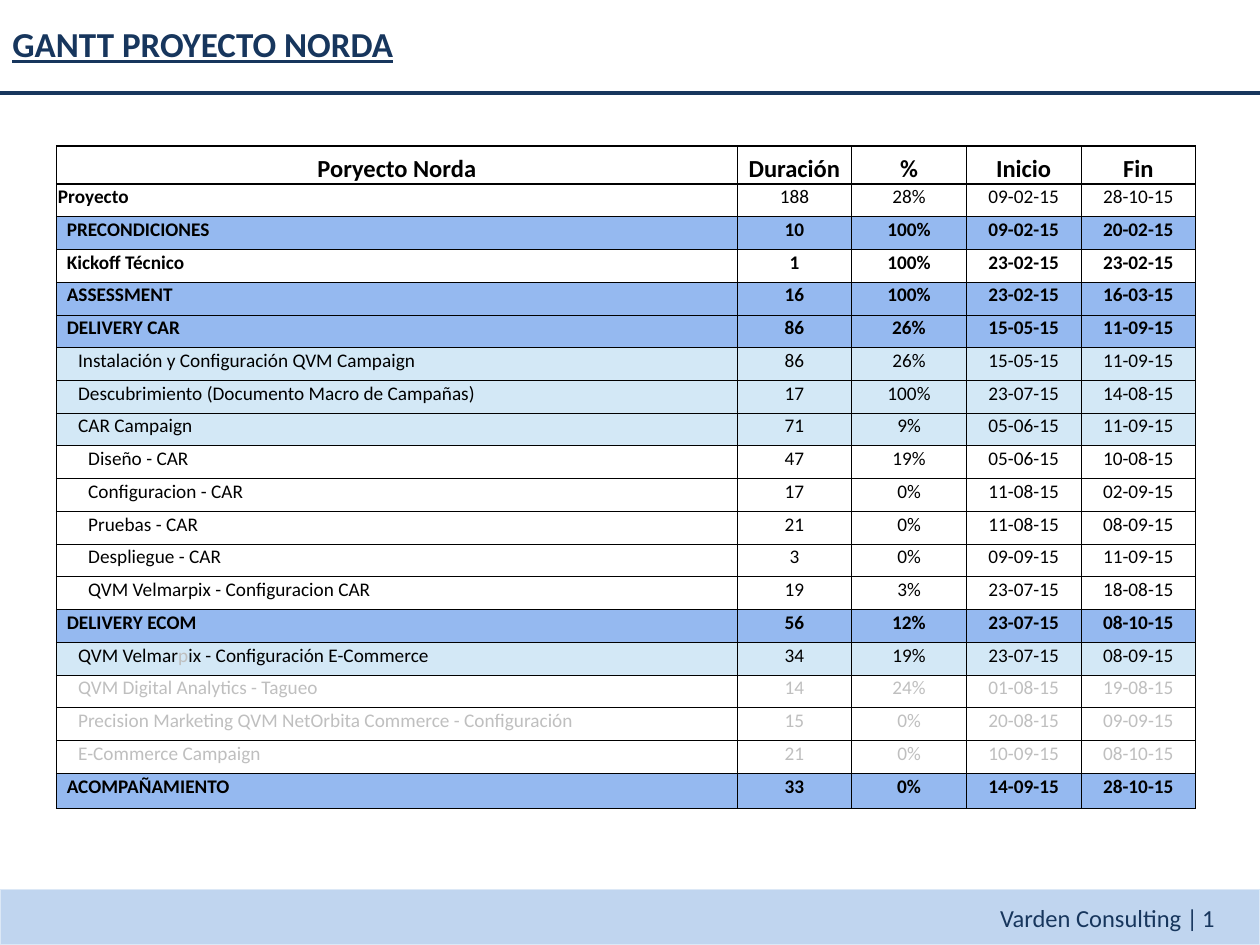
from dataclasses import dataclass

from lxml.etree import SubElement
from pptx import Presentation
from pptx.dml.color import RGBColor
from pptx.enum.shapes import MSO_CONNECTOR, MSO_SHAPE
from pptx.enum.text import MSO_ANCHOR, PP_ALIGN
from pptx.oxml.ns import qn
from pptx.util import Inches, Pt


@dataclass(frozen=True)
class Theme:
    font: str = "Calibri"
    navy: str = "17365D"
    band: str = "C0D5EF"
    band_edge: str = "DCE8F6"
    black: str = "000000"
    muted: str = "BFBFBF"
    phase: str = "95B9F0"
    group: str = "D3E8F6"
    title_size: int = 20
    heading_size: int = 14
    body_size: int = 11
    outer_line: float = 1
    inner_line: float = 0.5
    rule_line: float = 2.25


THEME = Theme()

ROW_STYLES = {
    "header": dict(size=THEME.heading_size, bold=True, centred=True, anchor=MSO_ANCHOR.BOTTOM),
    "project": dict(bold=True, values_bold=False),
    "phase": dict(fill=THEME.phase, bold=True, indent=0.08),
    "milestone": dict(bold=True, indent=0.08),
    "group": dict(fill=THEME.group, indent=0.17),
    "task": dict(indent=0.25),
    "pending": dict(color=THEME.muted, indent=0.17),
}

SCHEDULE = [
    ("header", "Poryecto Norda", "Duración", "%", "Inicio", "Fin"),
    ("project", "Proyecto", "188", "28%", "09-02-15", "28-10-15"),
    ("phase", "PRECONDICIONES", "10", "100%", "09-02-15", "20-02-15"),
    ("milestone", "Kickoff Técnico", "1", "100%", "23-02-15", "23-02-15"),
    ("phase", "ASSESSMENT", "16", "100%", "23-02-15", "16-03-15"),
    ("phase", "DELIVERY CAR", "86", "26%", "15-05-15", "11-09-15"),
    ("group", "Instalación y Configuración QVM Campaign", "86", "26%", "15-05-15", "11-09-15"),
    ("group", "Descubrimiento (Documento Macro de Campañas)", "17", "100%", "23-07-15", "14-08-15"),
    ("group", "CAR Campaign", "71", "9%", "05-06-15", "11-09-15"),
    ("task", "Diseño - CAR", "47", "19%", "05-06-15", "10-08-15"),
    ("task", "Configuracion - CAR", "17", "0%", "11-08-15", "02-09-15"),
    ("task", "Pruebas - CAR", "21", "0%", "11-08-15", "08-09-15"),
    ("task", "Despliegue - CAR", "3", "0%", "09-09-15", "11-09-15"),
    ("task", "QVM Velmarpix - Configuracion CAR", "19", "3%", "23-07-15", "18-08-15"),
    ("phase", "DELIVERY ECOM", "56", "12%", "23-07-15", "08-10-15"),
    ("group", [("QVM Velmar", THEME.black), ("p", THEME.muted),
               ("ix - Configuración E-Commerce", THEME.black)],
     "34", "19%", "23-07-15", "08-09-15"),
    ("pending", "QVM Digital Analytics - Tagueo", "14", "24%", "01-08-15", "19-08-15"),
    ("pending", "Precision Marketing QVM NetOrbita Commerce - Configuración",
     "15", "0%", "20-08-15", "09-09-15"),
    ("pending", "E-Commerce Campaign", "21", "0%", "10-09-15", "08-10-15"),
    ("phase", "ACOMPAÑAMIENTO", "33", "0%", "14-09-15", "28-10-15"),
]


def rgb(value):
    return RGBColor.from_string(value)


def assign(target, values):
    for name, value in values.items():
        setattr(target, name, value)


def margins(left, top, right, bottom):
    sides = ("margin_left", "margin_top", "margin_right", "margin_bottom")
    return dict(zip(sides, map(Inches, (left, top, right, bottom))))


class SlideBuilder:
    def __init__(self, slide, theme):
        self.slide = slide
        self.theme = theme

    def add_text(self, frame, text, color, size, paragraph_format=None, **font_format):
        paragraph = frame.paragraphs[0]
        assign(paragraph, paragraph_format or {})
        pieces = [(text, color)] if isinstance(text, str) else text
        for piece, piece_color in pieces:
            run = paragraph.add_run()
            run.text = piece
            assign(run.font, dict(name=self.theme.font, size=Pt(size), **font_format))
            run.font.color.rgb = rgb(piece_color)

    def bar(self, box, fill, edge):
        bar = self.slide.shapes.add_shape(MSO_SHAPE.RECTANGLE, *map(Inches, box))
        bar.shadow.inherit = False
        bar.fill.solid()
        bar.fill.fore_color.rgb = rgb(fill)
        bar.line.color.rgb = rgb(edge)
        bar.line.width = Pt(self.theme.outer_line)

    def rule(self, start, end):
        rule = self.slide.shapes.add_connector(
            MSO_CONNECTOR.STRAIGHT, *map(Inches, start + end))
        rule.line.color.rgb = rgb(self.theme.navy)
        rule.line.width = Pt(self.theme.rule_line)
        SubElement(rule._element.spPr, qn("a:effectLst"))

    def label(self, box, text, size, insets, paragraph_format=None, **font_format):
        frame = self.slide.shapes.add_textbox(*map(Inches, box)).text_frame
        assign(frame, dict(word_wrap=True, vertical_anchor=MSO_ANCHOR.MIDDLE, **margins(*insets)))
        self.add_text(frame, text, self.theme.navy, size, paragraph_format, **font_format)

    def borders(self, cell, **widths):
        properties = cell._tc.get_or_add_tcPr()
        for side, width in widths.items():
            line = SubElement(properties, qn(f"a:ln{side}"), w=str(Pt(width)))
            fill = SubElement(line, qn("a:solidFill"))
            SubElement(fill, qn("a:srgbClr"), val=self.theme.black)

    def cell(self, cell, text, is_name, style):
        centred = not is_name or style.get("centred", False)
        bold = style.get("bold", False)
        if not is_name:
            bold = style.get("values_bold", bold)
        left = style.get("indent", 0.01) if is_name else 0.01
        assign(cell, dict(vertical_anchor=style.get("anchor", MSO_ANCHOR.TOP),
                          **margins(left, 0.01, 0.01, 0)))
        if "fill" in style:
            cell.fill.solid()
            cell.fill.fore_color.rgb = rgb(style["fill"])
        else:
            cell.fill.background()
        self.add_text(cell.text_frame, text, style.get("color", self.theme.black),
                      style.get("size", self.theme.body_size),
                      dict(alignment=PP_ALIGN.CENTER if centred else PP_ALIGN.LEFT), bold=bold)

    def schedule(self, position, column_widths, row_heights, rows):
        box = (*position, sum(column_widths), sum(row_heights))
        table = self.slide.shapes.add_table(
            len(rows), len(column_widths), *map(Inches, box)).table
        assign(table, dict(first_row=False, horz_banding=False))
        for column, width in zip(table.columns, column_widths):
            column.width = Inches(width)
        for row, height in zip(table.rows, row_heights):
            row.height = Inches(height)
        outer, inner = self.theme.outer_line, self.theme.inner_line
        last_row, last_column = len(rows) - 1, len(column_widths) - 1
        for r, (kind, *texts) in enumerate(rows):
            for c, text in enumerate(texts):
                cell = table.cell(r, c)
                self.borders(cell,
                             L=outer if c == 0 else inner,
                             R=outer if c == last_column else inner,
                             T=outer if r in (0, 1) else inner,
                             B=outer if r in (0, last_row) else inner)
                self.cell(cell, text, c == 0, ROW_STYLES[kind])


def main():
    presentation = Presentation()
    assign(presentation, dict(slide_width=Inches(10), slide_height=Inches(7.5)))
    builder = SlideBuilder(presentation.slides.add_slide(presentation.slide_layouts[6]), THEME)

    footer_top, footer_height = 7.06, 0.44
    builder.bar((0, footer_top, 10, footer_height), THEME.band, THEME.band_edge)
    builder.label((7.81, footer_top, 1.8, footer_height), "Varden Consulting |",
                  THEME.heading_size, (0.1, 0.05, 0.1, 0.05), dict(alignment=PP_ALIGN.RIGHT))
    builder.rule((0, 0.74), (10, 0.74))
    builder.label((0, 0, 9.16, 0.74), "GANTT PROYECTO NORDA", THEME.title_size,
                  (0.1, 0.05, 0, 0.05), dict(line_spacing=0.9), bold=True, underline=True)
    builder.label((9.5, footer_top, 0.49, footer_height), "1",
                  THEME.heading_size, (0.04, 0.05, 0, 0.05))

    row_heights = [0.3] + [0.26] * (len(SCHEDULE) - 2) + [0.28]
    builder.schedule((0.45, 1.16), [5.4] + [0.91] * 4, row_heights, SCHEDULE)
    presentation.save("out.pptx")


if __name__ == "__main__":
    main()
